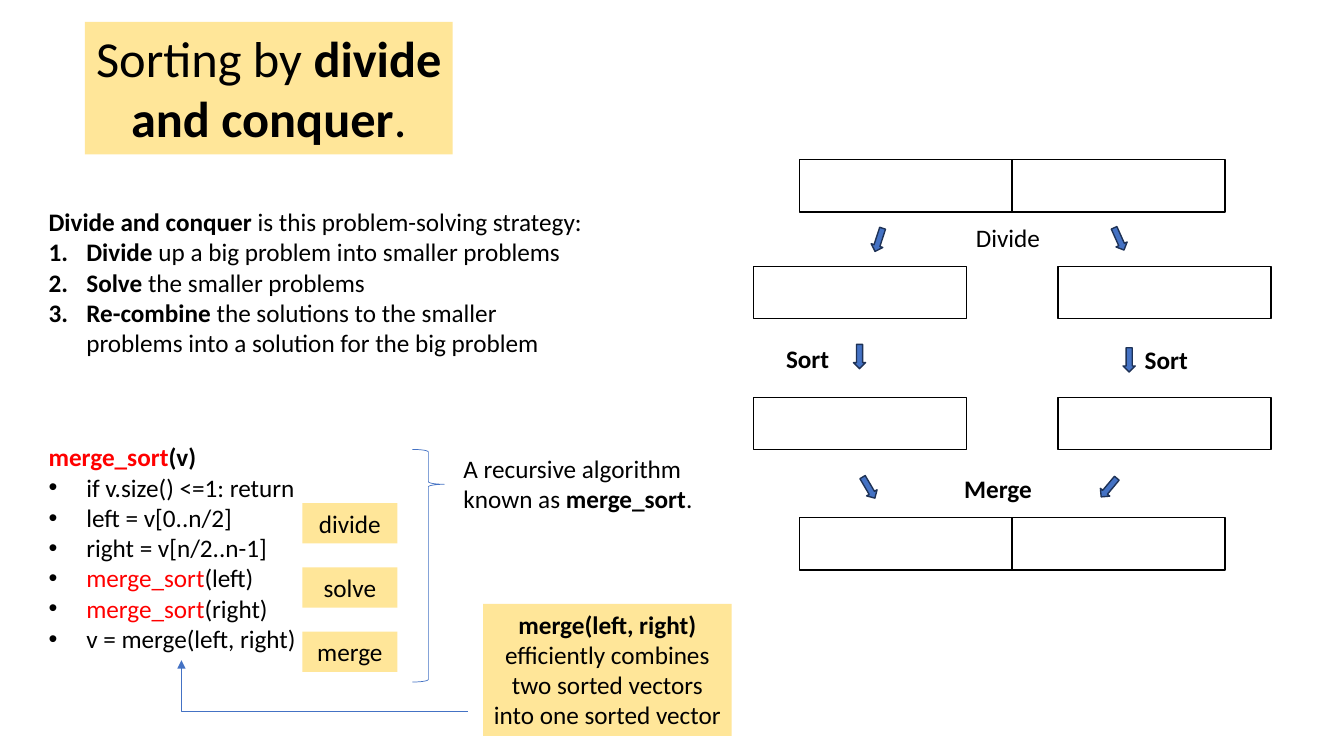
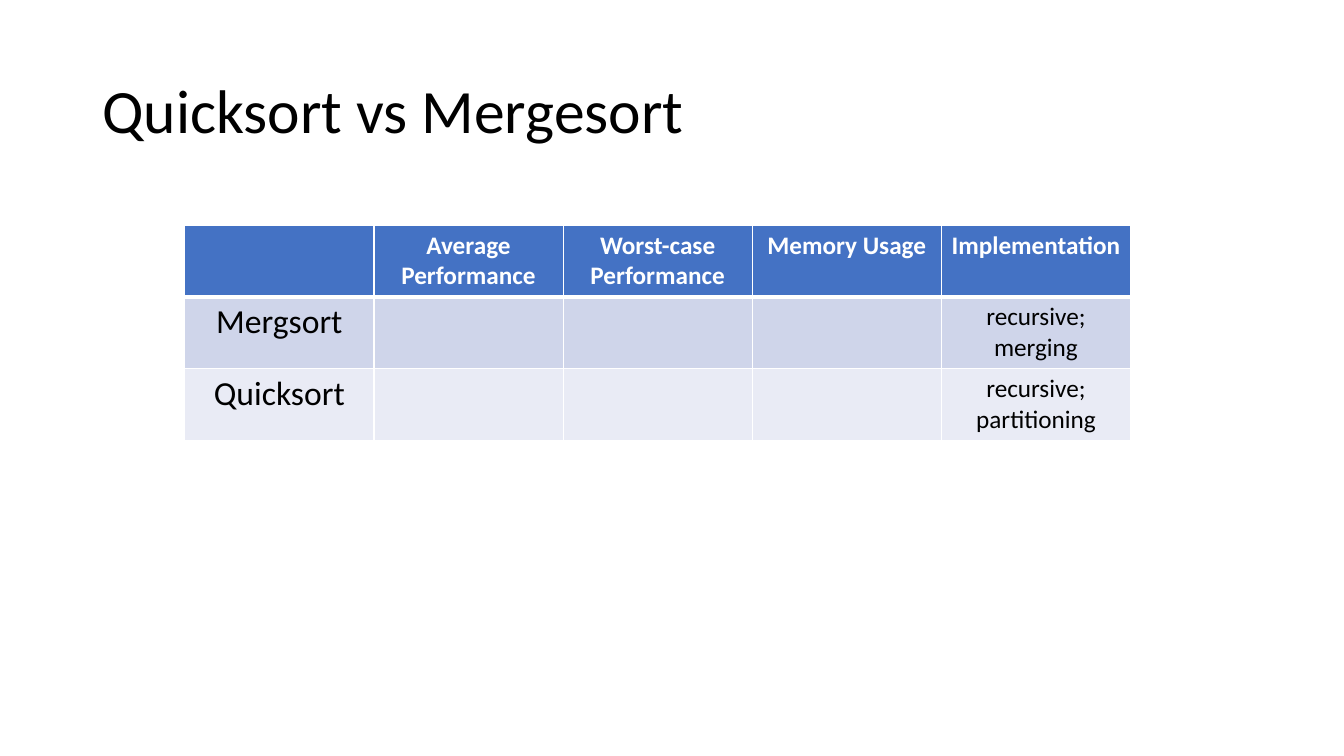
"""Build two slides on sorting by divide and conquer."""
from typing import NamedTuple

from lxml.etree import SubElement
from pptx import Presentation
from pptx.dml.color import RGBColor
from pptx.enum.shapes import MSO_CONNECTOR, MSO_SHAPE
from pptx.enum.text import MSO_ANCHOR, PP_ALIGN
from pptx.oxml.ns import qn
from pptx.slide import Slide
from pptx.table import _Cell
from pptx.text.text import TextFrame, _Paragraph
from pptx.util import Inches, Length, Pt

WIDE, HIGH = Inches(13.333), Inches(7.5)
COLS, ROWS = 160, 90
FONT = "Calibri"
INK = {
    "black": "000000", "white": "FFFFFF", "red": "FF0000", "blue": "4472C4",
    "navy": "1E3256", "gold": "FFE699", "band": "CFD5EA", "pale": "E9EBF5",
}
MID = 120.5
BAR = (25.35, 6.25)
TAG = (12, 4.8)
HANG = 4.5


class Box(NamedTuple):
    """Place and size in grid columns and rows."""
    x: float
    y: float
    w: float
    h: float


class Run(NamedTuple):
    """Text with one look."""
    text: str
    bold: bool = False
    ink: str = "black"


class Line(NamedTuple):
    """Paragraph made of runs, with an optional list mark."""
    runs: tuple[Run, ...]
    mark: str = ""


class Level(NamedTuple):
    """Pair of bars at one row, with the gap between them."""
    y: float
    gap: float


class Arrow(NamedTuple):
    """Small block arrow with its turn in degrees."""
    x: float
    y: float
    turn: float = 0


class Label(NamedTuple):
    """Word beside the arrows."""
    x: float
    y: float
    run: Run


LEVELS = (Level(19, 0), Level(31.7, 10.9), Level(47.3, 10.9), Level(61.6, 0))
ARROWS = (
    Arrow(103.9, 27.1, 18), Arrow(132.5, 27, 335.9),
    Arrow(102.7, 56.6, 329.5), Arrow(131.3, 56.6, 40),
    Arrow(101.6, 41), Arrow(133.7, 41.4),
)
LABELS = (
    Label(115, 25.9, Run("Divide")),
    Label(92.4, 40.3, Run("Sort", True)),
    Label(113.6, 55.8, Run("Merge", True)),
    Label(135.1, 40.4, Run("Sort", True)),
)
PLAN = (
    Line((Run("Divide and conquer ", True),
          Run("is this problem-solving strategy:"))),
    Line((Run("Divide", True),
          Run(" up a big problem into smaller problems")), "1"),
    Line((Run("Solve", True), Run(" the smaller problems")), "1"),
    Line((Run("Re-combine", True),
          Run(" the solutions to the smaller\n"
              "problems into a solution for the big problem")), "1"),
)
CALL = Run("merge_sort", False, "red")
CODE = (
    Line((Run("merge_sort", True, "red"), Run("(v)", True))),
    Line((Run("if v.size() <=1: return"),), "•"),
    Line((Run("left = v[0..n/2]"),), "•"),
    Line((Run("right = v[n/2..n-1]"),), "•"),
    Line((CALL, Run("(left)")), "•"),
    Line((CALL, Run("(right)")), "•"),
    Line((Run("v = merge(left, right)"),), "•"),
)
NOTE = (
    Line((Run("A recursive algorithm"),)),
    Line((Run("known as "), Run("merge_sort", True), Run("."))),
)
MERGE = (Line((
    Run("merge(left, right) ", True),
    Run("efficiently combines two sorted vectors into one sorted vector"),
)),)
HEAD = (Line((Run("Sorting by "), Run("divide and conquer", True), Run("."))),)
TABLE = (
    ("", "Average\nPerformance", "Worst-case\nPerformance", "Memory Usage",
     "Implementation"),
    ("Mergsort", "", "", "", "recursive;\nmerging"),
    ("Quicksort", "", "", "", "recursive;\npartitioning"),
)


def across(n: float) -> Length:
    """Turn grid columns into a length."""
    return Length(round(WIDE * n / COLS))


def down(n: float) -> Length:
    """Turn grid rows into a length."""
    return Length(round(HIGH * n / ROWS))


def place(box: Box) -> tuple[Length, ...]:
    """Turn a box into lengths."""
    return across(box.x), down(box.y), across(box.w), down(box.h)


def tint(name: str) -> RGBColor:
    """Look up a colour."""
    return RGBColor.from_string(INK[name])


def listed(para: _Paragraph, mark: str) -> None:
    """Give a paragraph a hanging black number or bullet."""
    props = para._p.get_or_add_pPr()
    props.set("marL", str(across(HANG)))
    props.set("indent", str(-across(HANG)))
    shade = SubElement(props, qn("a:buClr"))
    SubElement(shade, qn("a:srgbClr"), val=INK["black"])
    if mark == "1":
        SubElement(props, qn("a:buFont"), typeface="+mj-lt")
        SubElement(props, qn("a:buAutoNum"), type="arabicPeriod")
    else:
        SubElement(props, qn("a:buFont"), typeface="Arial")
        SubElement(props, qn("a:buChar"), char=mark)


def write(frame: TextFrame, lines: tuple[Line, ...], size: float = 18,
          align: PP_ALIGN = PP_ALIGN.LEFT) -> None:
    """Fill a text frame with lines."""
    for i, line in enumerate(lines):
        para = frame.add_paragraph() if i else frame.paragraphs[0]
        para.alignment = align
        if line.mark:
            listed(para, line.mark)
        para.font.name, para.font.size = FONT, Pt(size)
        same = len({(run.bold, run.ink) for run in line.runs}) == 1
        if same:
            para.font.bold = line.runs[0].bold
            para.font.color.rgb = tint(line.runs[0].ink)
        for run in line.runs:
            for k, part in enumerate(run.text.split("\n")):
                if k:
                    para.add_line_break()
                piece = para.add_run()
                piece.text = part
                if not same:
                    piece.font.bold = run.bold
                    piece.font.color.rgb = tint(run.ink)


def text(slide: Slide, box: Box, lines: tuple[Line, ...],
         size: float = 18) -> TextFrame:
    """Add a plain text box."""
    frame = slide.shapes.add_textbox(*place(box)).text_frame
    frame.word_wrap = True
    write(frame, lines, size)
    return frame


def card(slide: Slide, box: Box, lines: tuple[Line, ...],
         size: float = 18) -> None:
    """Add a gold box with centred text."""
    shape = slide.shapes.add_textbox(*place(box))
    shape.fill.solid()
    shape.fill.fore_color.rgb = tint("gold")
    shape.text_frame.word_wrap = True
    write(shape.text_frame, lines, size, PP_ALIGN.CENTER)


def draw(slide: Slide, kind: MSO_SHAPE, box: Box, line: str, width: float = 1,
         fill: str = "", turn: float = 0, bends: tuple[float, ...] = ()) -> None:
    """Add an outlined preset shape."""
    shape = slide.shapes.add_shape(kind, *place(box))
    shape.shadow.inherit = False
    shape.rotation = turn
    shape.line.color.rgb, shape.line.width = tint(line), Pt(width)
    if fill:
        shape.fill.solid()
        shape.fill.fore_color.rgb = tint(fill)
    else:
        shape.fill.background()
    for i, bend in enumerate(bends):
        shape.adjustments[i] = bend


def elbow(slide: Slide, box: Box) -> None:
    """Add an arrow running left, then up."""
    x, y, w, h = place(box)
    link = slide.shapes.add_connector(MSO_CONNECTOR.ELBOW, x, y, x + w, y + h)
    link.line.color.rgb, link.line.width = tint("blue"), Pt(0.5)
    props = link._element.spPr
    props.find(qn("a:xfrm")).set("rot", str(180 * 60000))
    props.find(qn("a:prstGeom")).set("prst", "bentConnector2")
    SubElement(props.find(qn("a:ln")), qn("a:tailEnd"), type="triangle")
    SubElement(props, qn("a:effectLst"))


def edge(cell: _Cell, top: float, base: float) -> None:
    """Give a cell white borders."""
    props = cell._tc.get_or_add_tcPr()
    for side, width in (("L", 1), ("R", 1), ("T", top), ("B", base)):
        line = SubElement(props, qn(f"a:ln{side}"), w=str(Pt(width)))
        fill = SubElement(line, qn("a:solidFill"))
        SubElement(fill, qn("a:srgbClr"), val=INK["white"])


def grid(slide: Slide, box: Box) -> None:
    """Add the comparison table."""
    table = slide.shapes.add_table(
        len(TABLE), len(TABLE[0]), *place(box)).table
    for r, row in enumerate(TABLE):
        for c, words in enumerate(row):
            cell = table.cell(r, c)
            edge(cell, 3 if r == 1 else 1, 3 if r == 0 else 1)
            cell.fill.solid()
            cell.fill.fore_color.rgb = tint(("blue", "band", "pale")[r])
            if words:
                run = Run(words, r == 0, "black" if r else "white")
                write(cell.text_frame, (Line((run,)),),
                      24 if r and c == 0 else 18, PP_ALIGN.CENTER)


def divide(slide: Slide) -> None:
    """Draw the divide and conquer slide."""
    text(slide, Box(4.6, 24, 66.5, 19.4), PLAN)
    for level in LEVELS:
        for x in (MID - level.gap / 2 - BAR[0], MID + level.gap / 2):
            draw(slide, MSO_SHAPE.RECTANGLE, Box(x, level.y, *BAR), "black")
    for arrow in ARROWS:
        draw(slide, MSO_SHAPE.DOWN_ARROW, Box(arrow.x, arrow.y, 1.45, 2.9),
             "navy", fill="blue", turn=arrow.turn)
    for label in LABELS:
        text(slide, Box(label.x, label.y, *TAG), (Line((label.run,)),))
    text(slide, Box(4.6, 52, 34, 26.6), CODE)
    for i, word in enumerate(("divide", "solve", "merge")):
        card(slide, Box(36, 59.9 + 7.65 * i, 11.3, 4.8), (Line((Run(word),)),))
    draw(slide, MSO_SHAPE.RIGHT_BRACE, Box(49.1, 53.5, 3.8, 27.7), "blue", 0.5,
         bends=(0.08, 0.15))
    text(slide, Box(54, 53.4, 31, 8.5), NOTE)
    elbow(slide, Box(21.6, 78.6, 34.1, 6.1))
    card(slide, Box(57.5, 71.9, 29.6, 15.7), MERGE)
    card(slide, Box(10.1, 2.6, 43.8, 15.8), HEAD, 36)


def compare(slide: Slide) -> None:
    """Draw the comparison slide."""
    frame = text(slide, Box(11, 4.8, 138, 17.4),
                 (Line((Run("Quicksort vs Mergesort"),)),), 44)
    frame.vertical_anchor = MSO_ANCHOR.MIDDLE
    frame.paragraphs[0].line_spacing = 0.9
    grid(slide, Box(22, 26.8, 112.6, 25.6))


def main() -> None:
    """Build and save the deck."""
    deck = Presentation()
    deck.slide_width, deck.slide_height = WIDE, HIGH
    for make in (divide, compare):
        make(deck.slides.add_slide(deck.slide_layouts[6]))
    deck.save("out.pptx")


if __name__ == "__main__":
    main()
